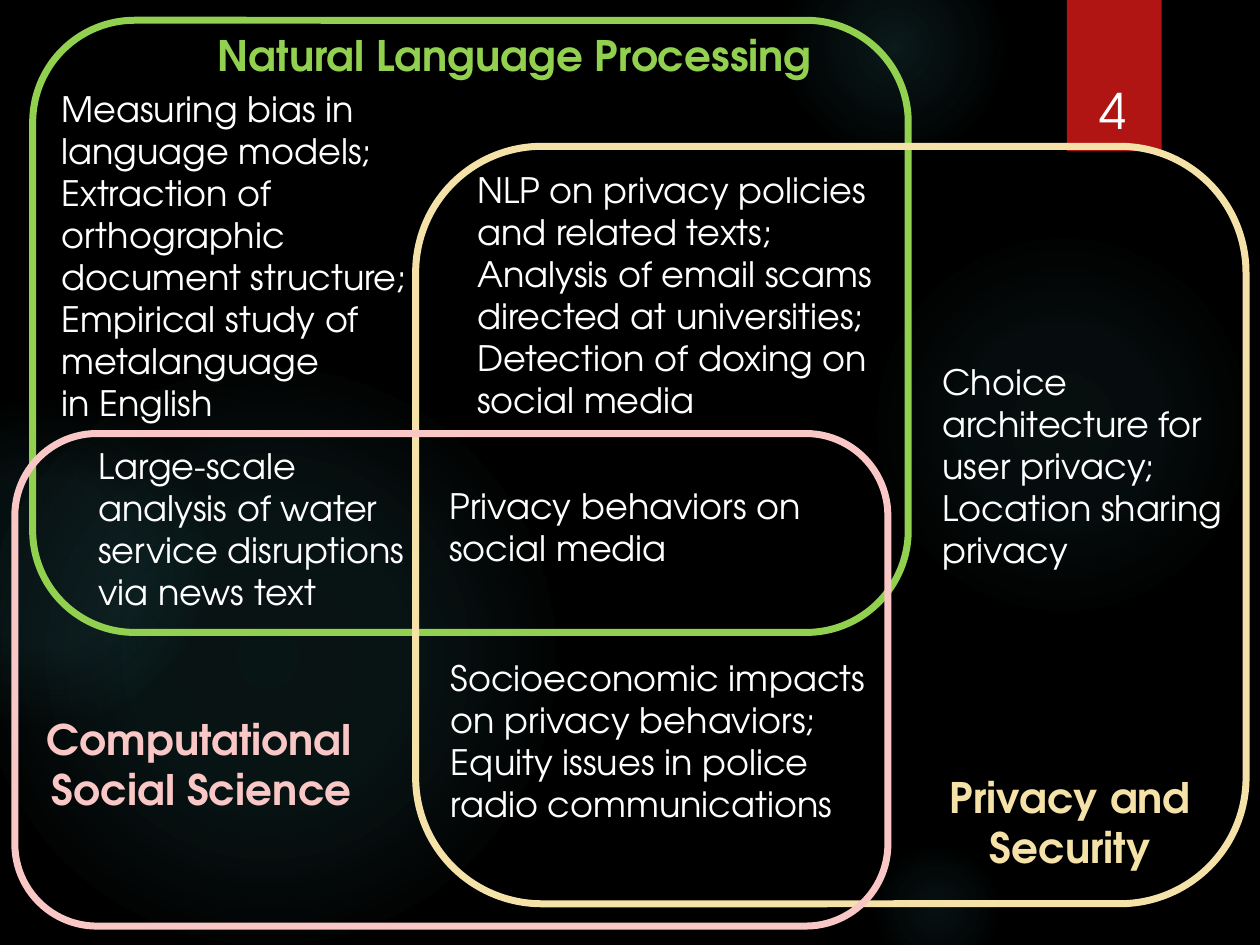
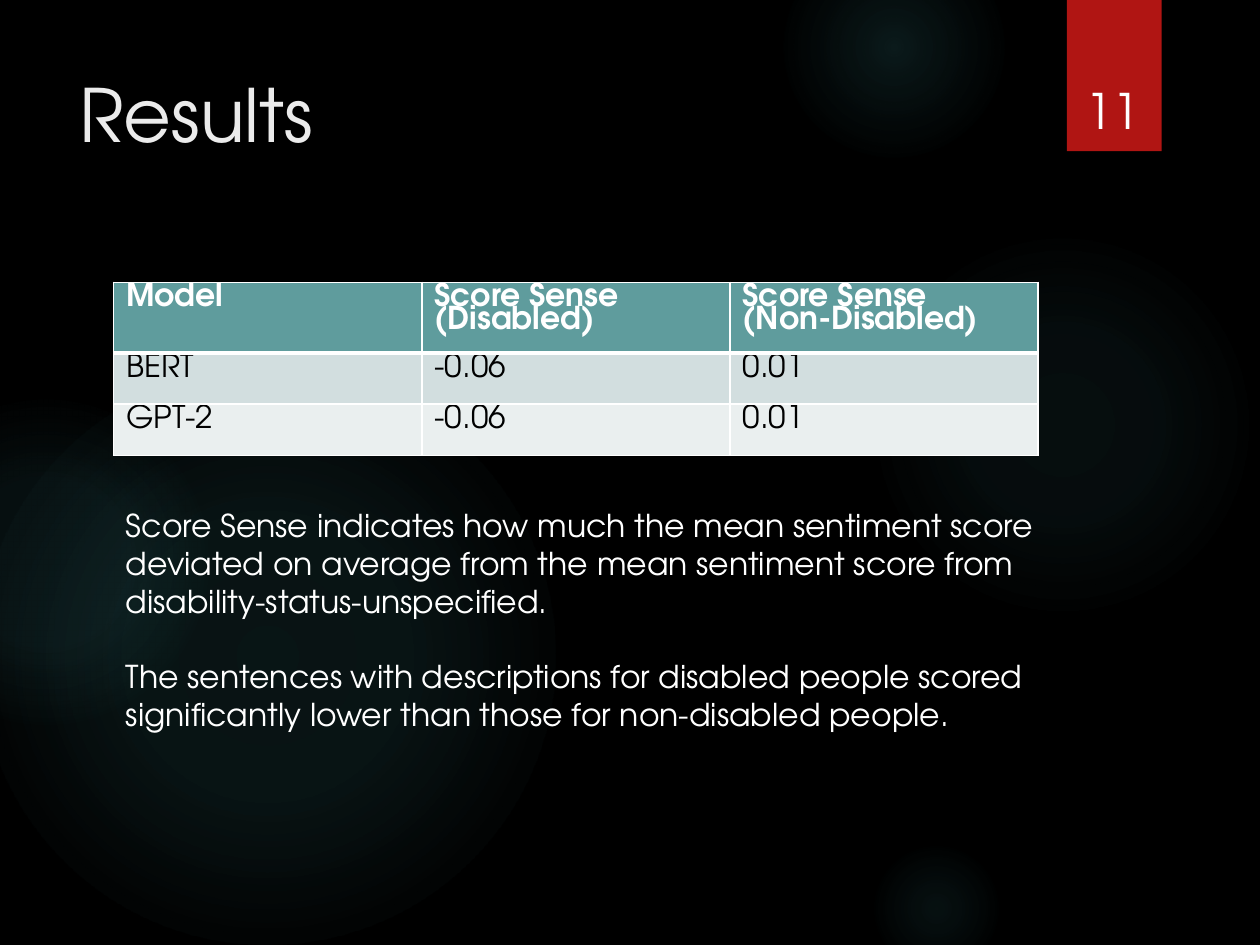
import pptx
import pptx.dml.color
import pptx.enum.shapes
import pptx.enum.text
import pptx.oxml
import pptx.oxml.ns
import pptx.util
from dataclasses import dataclass

Cm, Pt = pptx.util.Cm, pptx.util.Pt
SHAPE = pptx.enum.shapes.MSO_SHAPE
ALIGN = pptx.enum.text.PP_ALIGN
ANCHOR = pptx.enum.text.MSO_ANCHOR


@dataclass(frozen=True)
class Theme:
    font: str = "TeX Gyre Adventor"
    background: str = "000000"
    glow: str = "50B9C1"
    ribbon: str = "B01513"
    title: str = "EBEBEB"
    text: str = "FFFFFF"
    green: str = "92D050"
    yellow: str = "F5E2A9"
    pink: str = "F9C7C6"
    table_header: str = "5F9C9D"
    table_bands: tuple = ("D2DEDF", "EAEFEF")
    table_text: str = "000000"
    table_border: str = "FFFFFF"
    title_size: int = 42
    number_size: int = 28
    field_size: int = 24
    topic_size: int = 20
    body_size: int = 18


THEME = Theme()

# Boxes are (left, top, width, height) in cm.
# Glows: left, top, diameter, then (position %, opacity %) stops.
GLOWS = [
    (17.5, 4.65, 7.82, [(0, 7), (36, 6), (69, 0)]),
    (15.8, -1.27, 4.45, [(0, 14), (36, 7), (73, 0)]),
    (17.5, 16.94, 2.74, [(0, 9), (36, 5), (66, 0)]),
    (-0.43, 7.42, 11.63, [(0, 11), (36, 10), (75, 0)]),
    (-2.34, 8.05, 6.55, [(0, 8), (36, 8), (72, 0)]),
]
RIBBON_BOX = (21.51, 0, 1.91, 3.05)
NUMBER_BOX = (21.56, 0.81, 1.75, 2.13)

# Fields: name, colour, outline box, label box, label alignment
FIELDS = [
    ("Natural Language Processing", THEME.green,
     (0.66, 0.41, 17.65, 12.34), (4.01, 0.48, 12.6, 1.27), ALIGN.RIGHT),
    ("Privacy and Security", THEME.yellow,
     (8.38, 2.95, 16.74, 15.27), (17.42, 15.42, 8.31, 2.31), ALIGN.CENTER),
    ("Computational Social Science", THEME.pink,
     (0.3, 8.74, 17.6, 9.93), (-1.88, 14.25, 9.22, 2.31), ALIGN.RIGHT),
]
TOPICS = [
    ((9.37, 3.28, 9.22, 5.38),
     ["NLP on privacy policies and related texts;",
      "Analysis of email scams directed at universities;",
      "Detection of doxing on social media"]),
    ((18.75, 7.14, 7.21, 5.38),
     ["Choice architecture for user privacy;", "Location sharing privacy"]),
    ((0.99, 1.63, 7.95, 7.09),
     ["Measuring bias in language models;",
      "Extraction of orthographic document structure;",
      "Empirical study of metalanguage\vin English"]),
    ((8.81, 9.65, 9.22, 2.82), ["Privacy behaviors on social media"]),
    ((1.73, 8.84, 7.19, 3.68),
     ["Large-scale analysis of water service disruptions via news text"]),
    ((8.84, 13.11, 9.14, 4.52),
     ["Socioeconomic impacts on privacy behaviors;",
      "Equity issues in police radio communications"]),
]

RESULTS_TITLE_BOX = (1.35, 1.27, 19.61, 3.89)
RESULTS_TABLE_BOX = (2.29, 5.69, 18.64, 3.48)
RESULTS_ROW_HEIGHTS = [1.42, 1.03, 1.03]
RESULTS = [
    ["Model", "Score Sense (Disabled)", "Score Sense\v(Non-Disabled)"],
    ["BERT", "-0.06", "0.01"],
    ["GPT-2", "-0.06", "0.01"],
]
NOTES_BOX = (2.29, 10.08, 19.61, 6.4)
NOTES = [
    "Score Sense indicates how much the mean sentiment score deviated on average "
    "from the mean sentiment score from disability-status-unspecified.",
    "The sentences with descriptions for disabled people scored significantly "
    "lower than those for non-disabled people.",
]


def rgb(color):
    return pptx.dml.color.RGBColor.from_string(color)


def lengths(box):
    return [Cm(value) for value in box]


def set_font(p, size, color, bold=False):
    p.font.name, p.font.size, p.font.bold = THEME.font, Pt(size), bold
    p.font.color.rgb = rgb(color)


def add_text(s, box, paragraphs, size, color=THEME.text, bold=False,
             align=ALIGN.LEFT, anchor=ANCHOR.TOP, gap=0):
    """Add a wrapping text box; gap is the space in points between paragraphs."""
    tf = s.shapes.add_textbox(*lengths(box)).text_frame
    tf.word_wrap, tf.vertical_anchor = True, anchor
    for i, text in enumerate(paragraphs):
        p = tf.add_paragraph() if i else tf.paragraphs[0]
        p.text, p.alignment = text, align
        p.space_before = Pt(gap if i else 0)
        set_font(p, size, color, bold)


def add_shape(s, kind, box, fill=None, line=None):
    sp = s.shapes.add_shape(kind, *lengths(box))
    sp.shadow.inherit = False
    if fill:
        sp.fill.solid()
        sp.fill.fore_color.rgb = rgb(fill)
    else:
        sp.fill.background()
    if line:
        sp.line.color.rgb, sp.line.width = rgb(line), Pt(4)
    else:
        sp.line.fill.background()
    return sp


def add_glow(s, left, top, diameter, stops):
    """Add a circle that fades out from its centre."""
    sp = add_shape(s, SHAPE.OVAL, (left, top, diameter, diameter))
    gs = "".join(
        f'<a:gs pos="{pos * 1000}"><a:srgbClr val="{THEME.glow}">'
        f'<a:alpha val="{opacity * 1000}"/></a:srgbClr></a:gs>'
        for pos, opacity in stops)
    gradient = pptx.oxml.parse_xml(
        f'<a:gradFill {pptx.oxml.ns.nsdecls("a")}><a:gsLst>{gs}</a:gsLst>'
        '<a:path path="circle"><a:fillToRect l="50000" t="50000" r="50000" b="50000"/>'
        '</a:path></a:gradFill>')
    spPr = sp._element.spPr
    spPr.replace(spPr.find(pptx.oxml.ns.qn("a:noFill")), gradient)


def add_slide(prs, number):
    """Add a slide with the shared background, glows, ribbon and number."""
    s = prs.slides.add_slide(prs.slide_layouts[6])
    s.background.fill.solid()
    s.background.fill.fore_color.rgb = rgb(THEME.background)
    for glow in GLOWS:
        add_glow(s, *glow)
    add_shape(s, SHAPE.RECTANGLE, RIBBON_BOX, fill=THEME.ribbon)
    add_text(s, NUMBER_BOX, [str(number)], THEME.number_size,
             align=ALIGN.CENTER, anchor=ANCHOR.BOTTOM)
    return s


def set_borders(cell, **widths):
    tcPr = cell._tc.get_or_add_tcPr()
    for i, side in enumerate("LRTB"):
        tcPr.insert(i, pptx.oxml.parse_xml(
            f'<a:ln{side} {pptx.oxml.ns.nsdecls("a")} w="{Pt(widths.get(side, 1))}">'
            f'<a:solidFill><a:srgbClr val="{THEME.table_border}"/></a:solidFill>'
            f'</a:ln{side}>'))


def add_results_table(s):
    table = s.shapes.add_table(
        len(RESULTS), len(RESULTS[0]), *lengths(RESULTS_TABLE_BOX)).table
    for row, height in zip(table.rows, RESULTS_ROW_HEIGHTS):
        row.height = Cm(height)
    fills = (THEME.table_header, *THEME.table_bands)
    rules = ({"B": 3}, {"T": 3}, {})
    for r, texts in enumerate(RESULTS):
        header = r == 0
        for c, text in enumerate(texts):
            cell = table.cell(r, c)
            cell.fill.solid()
            cell.fill.fore_color.rgb = rgb(fills[r])
            set_borders(cell, **rules[r])
            p = cell.text_frame.paragraphs[0]
            p.text, p.line_spacing = text, 0.77
            set_font(p, THEME.body_size,
                     THEME.text if header else THEME.table_text, header)


def build_fields_slide(prs):
    s = add_slide(prs, 4)
    for _, color, outline, _, _ in FIELDS:
        add_shape(s, SHAPE.ROUNDED_RECTANGLE, outline, line=color)
    for name, color, _, box, align in FIELDS:
        add_text(s, box, [name], THEME.field_size, color, bold=True, align=align)
    for box, paragraphs in TOPICS:
        add_text(s, box, paragraphs, THEME.topic_size)


def build_results_slide(prs):
    s = add_slide(prs, 11)
    add_text(s, RESULTS_TITLE_BOX, ["Results"], THEME.title_size, THEME.title)
    add_results_table(s)
    add_text(s, NOTES_BOX, NOTES, THEME.body_size, gap=21.6)


def main():
    prs = pptx.Presentation()
    prs.slide_width, prs.slide_height = Cm(25.4), Cm(19.05)
    build_fields_slide(prs)
    build_results_slide(prs)
    prs.save("out.pptx")


if __name__ == "__main__":
    main()
